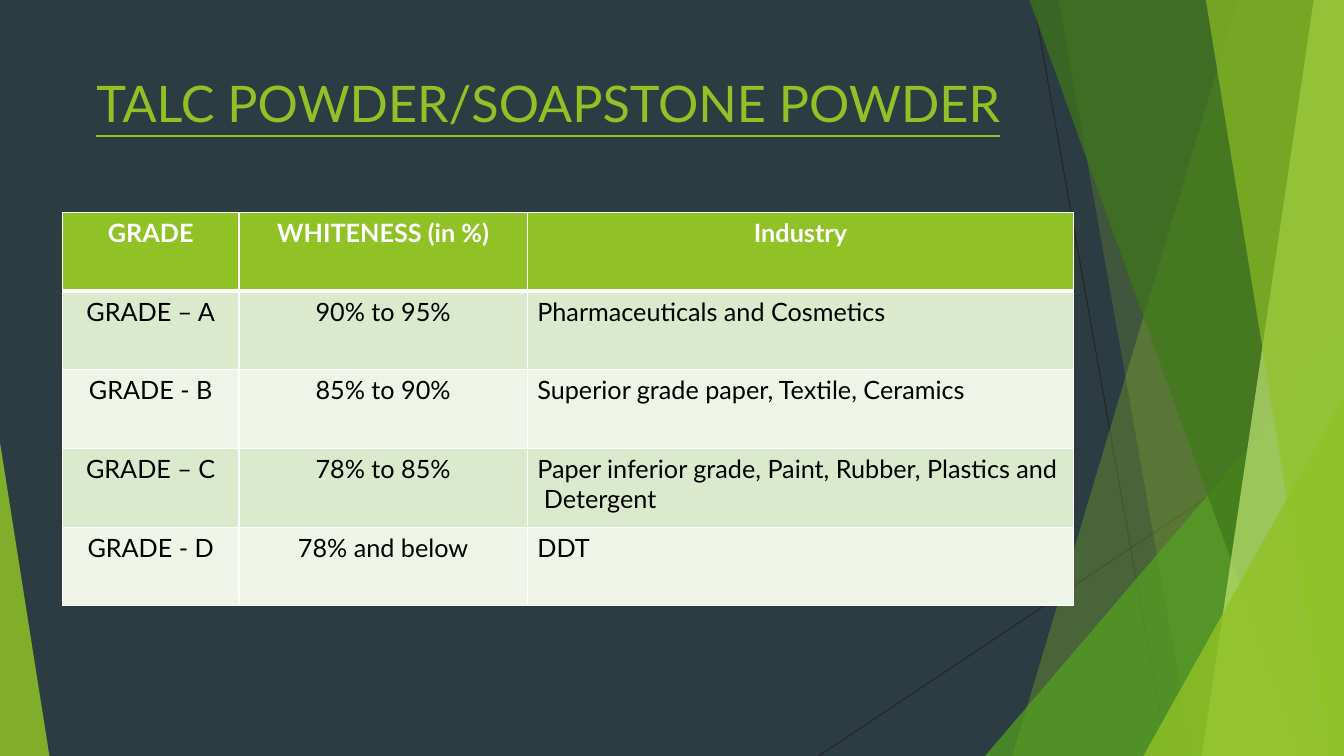
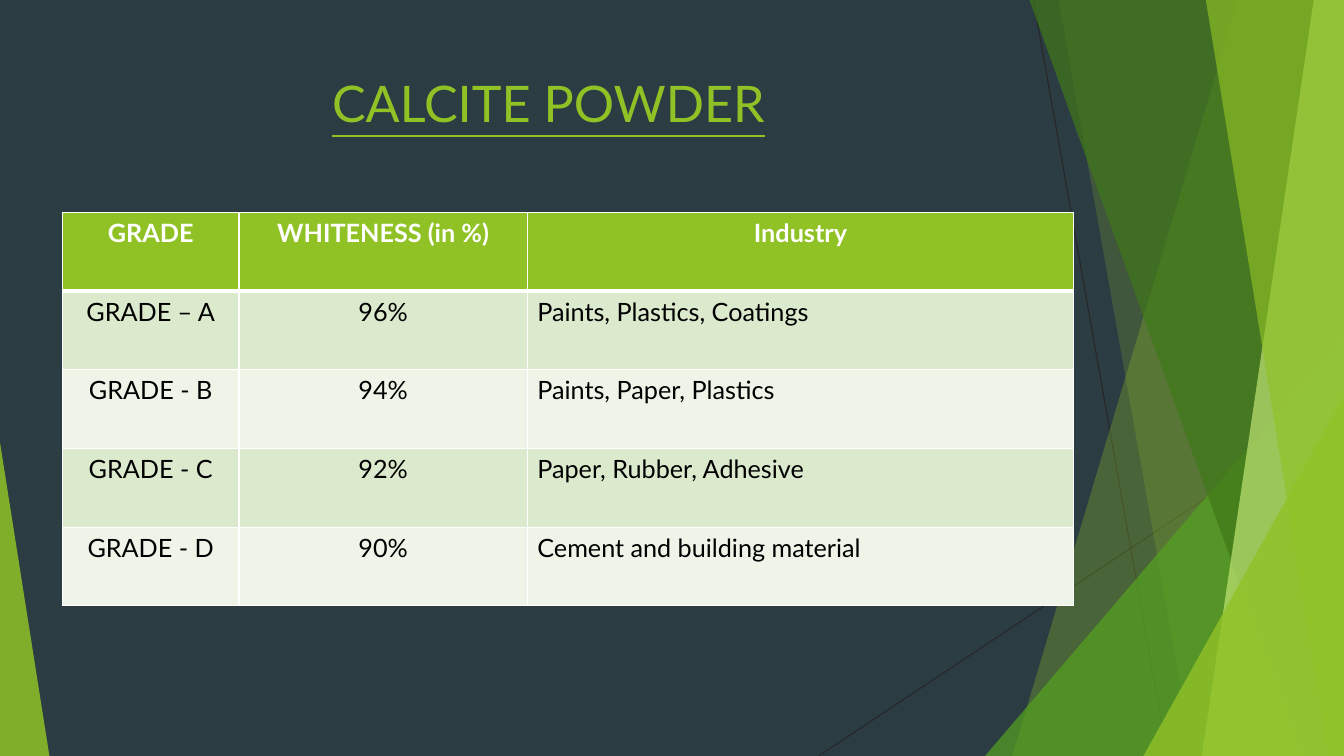
import pptx
import pptx.dml.color
import pptx.enum.shapes
import pptx.enum.text
import pptx.oxml
import pptx.oxml.ns
import pptx.util
from lxml import etree

Inches = pptx.util.Inches
Pt = pptx.util.Pt
qn = pptx.oxml.ns.qn
CENTER = pptx.enum.text.PP_ALIGN.CENTER
LEFT = pptx.enum.text.PP_ALIGN.LEFT

WIDE, HIGH = 13.33, 7.5
FONT = "Lato"
DARK, LIME, WHITE, BLACK = "2C3C43", "90C226", "FFFFFF", "000000"
LEAF, MOSS, PALE, WIRE = "54A021", "3F7819", "C0E474", "262626"
BANDS = ["DBE9CD", "EEF4E8"]

HEADS = ["GRADE", "WHITENESS (in %)", "Industry"]
COLS = [1.75, 2.86, 5.42]
ROW = 0.78

TALC = [
    ["GRADE – A", "90% to 95%", "Pharmaceuticals and Cosmetics"],
    ["GRADE - B", "85% to 90%", "Superior grade paper, Textile, Ceramics"],
    ["GRADE – C", "78% to 85%",
     "Paper inferior grade, Paint, Rubber, Plastics and\v Detergent"],
    ["GRADE - D", "78% and below", "DDT"],
]
CALCITE = [
    ["GRADE – A", "96%", "Paints, Plastics, Coatings"],
    ["GRADE - B", "94%", "Paints, Paper, Plastics"],
    ["GRADE - C", "92%", "Paper, Rubber, Adhesive"],
    ["GRADE - D", "90%", "Cement and building material"],
]


def paint(fill, color, alpha=100):
    """Fill with a solid colour, at alpha percent opacity."""
    fill.solid()
    fill.fore_color.rgb = pptx.dml.color.RGBColor.from_string(color)
    if alpha < 100:
        tone = fill.fore_color._xFill.find(qn("a:srgbClr"))
        etree.SubElement(tone, qn("a:alpha"), val=str(alpha * 1000))


def finish(shape, color, alpha):
    shape.shadow.inherit = False
    shape.line.fill.background()
    paint(shape.fill, color, alpha)


def wire(slide, start, end):
    line = slide.shapes.add_connector(
        pptx.enum.shapes.MSO_CONNECTOR.STRAIGHT,
        *[Inches(n) for n in start + end])
    line.line.width = Pt(0.75)
    paint(line.line.fill, WIRE)
    etree.SubElement(line._element.spPr, qn("a:effectLst"))


def shard(slide, top, foot, color, alpha):
    """Draw a full-height panel from a slanted left edge to the slide's right."""
    pen = slide.shapes.build_freeform(Inches(top), 0, scale=1.0)
    pen.add_line_segments([(Inches(x), Inches(y)) for x, y in
                           [(WIDE, 0), (WIDE, HIGH), (foot, HIGH)]])
    finish(pen.convert_to_shape(), color, alpha)


def wedge(slide, left, top, width, apex, color, alpha):
    """Draw a triangle on the slide's foot; apex is 0 for left, 1 for right."""
    shape = slide.shapes.add_shape(
        pptx.enum.shapes.MSO_SHAPE.ISOSCELES_TRIANGLE,
        Inches(left), Inches(top), Inches(width), Inches(HIGH - top))
    shape.adjustments[0] = apex
    finish(shape, color, alpha)


def facets(slide):
    wire(slide, (10.25, 0), (11.58, HIGH))
    wire(slide, (WIDE, 4.03), (8.12, HIGH))
    shard(slide, 12.28, 10.04, LIME, 30)
    shard(slide, 10.5, 11.83, LIME, 20)
    wedge(slide, 9.77, 3.33, 3.56, 1, LEAF, 72)
    shard(slide, 10.21, 12.91, MOSS, 70)
    shard(slide, 13.03, 11.92, PALE, 70)
    shard(slide, 11.96, 13.18, LIME, 65)
    wedge(slide, 11.34, 3.93, 1.99, 1, LIME, 80)
    wedge(slide, 0, 4.39, 0.49, 0, LIME, 85)


def style(para, size, color, align):
    para.alignment = align
    para.font.name = FONT
    para.font.size = Pt(size)
    paint(para.font.fill, color)


def title(slide, text):
    box = slide.shapes.add_textbox(
        Inches(0.74), Inches(0.67), Inches(9.4), Inches(1.44))
    box.text_frame.word_wrap = True
    para = box.text_frame.paragraphs[0]
    para.text = text
    style(para, 36, LIME, CENTER)
    para.font.underline = True


def edges(cell, top, foot):
    """Give a cell white borders; top and foot are widths in points."""
    props = cell._tc.get_or_add_tcPr()
    sides = [("L", 1), ("R", 1), ("T", top), ("B", foot)]
    for spot, (side, width) in enumerate(sides):
        line = etree.Element(qn("a:ln" + side), w=str(Pt(width)))
        solid = etree.SubElement(line, qn("a:solidFill"))
        etree.SubElement(solid, qn("a:srgbClr"), val=WHITE)
        props.insert(spot, line)


def grades(slide, rows):
    rows = [HEADS] + rows
    table = slide.shapes.add_table(
        len(rows), len(COLS), Inches(0.62), Inches(2.11),
        Inches(sum(COLS)), Inches(ROW * len(rows))).table
    for col, width in zip(table.columns, COLS):
        col.width = Inches(width)
    for r, texts in enumerate(rows):
        head = r == 0
        for c, text in enumerate(texts):
            cell = table.cell(r, c)
            cell.text = text
            paint(cell.fill, LIME if head else BANDS[(r - 1) % 2])
            edges(cell, 3 if r == 1 else 1, 3 if head else 1)
            para = cell.text_frame.paragraphs[0]
            style(para, 18, WHITE if head else BLACK,
                  CENTER if head or c < 2 else LEFT)
            para.font.bold = head


def main():
    deck = pptx.Presentation()
    deck.slide_width, deck.slide_height = Inches(WIDE), Inches(HIGH)
    paint(deck.slide_master.background.fill, DARK)
    for name, rows in [("TALC POWDER/SOAPSTONE POWDER", TALC),
                       ("CALCITE POWDER", CALCITE)]:
        slide = deck.slides.add_slide(deck.slide_layouts[6])
        facets(slide)
        title(slide, name)
        grades(slide, rows)
    deck.save("out.pptx")


if __name__ == "__main__":
    main()
